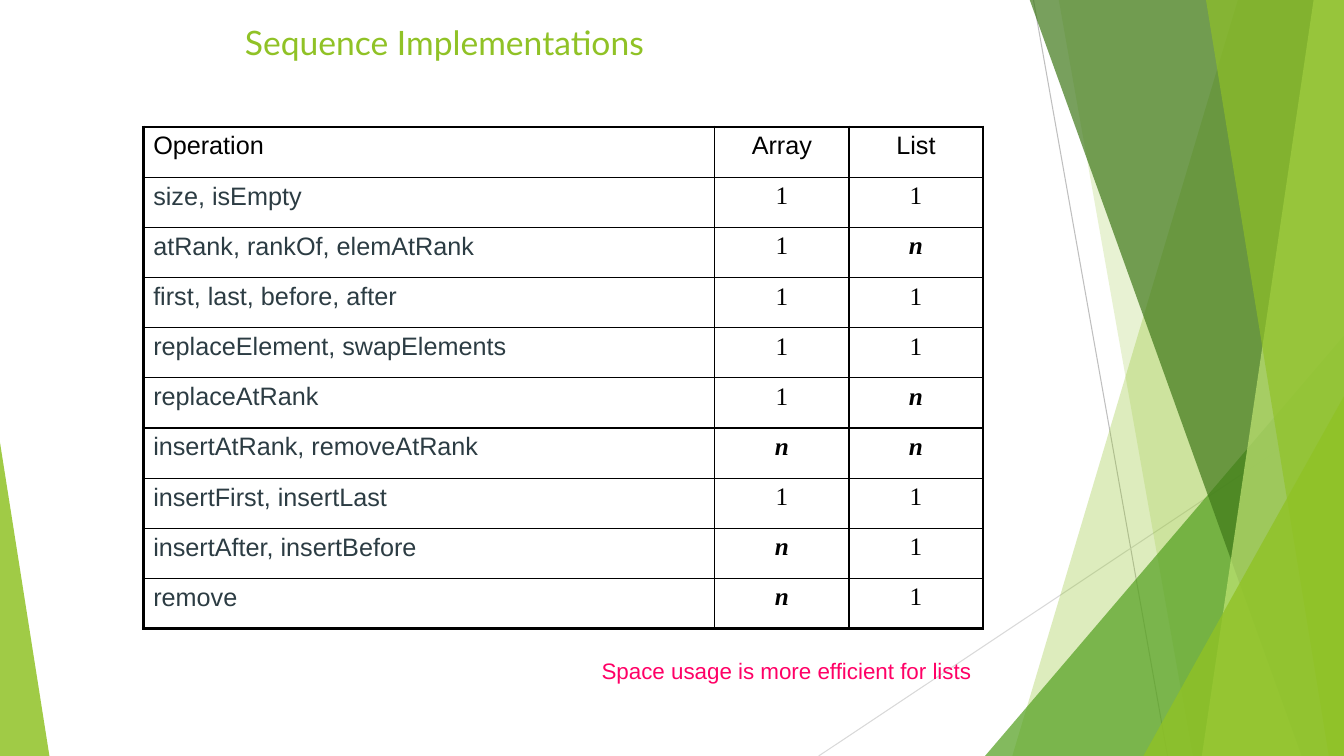
import pptx
import pptx.dml.color
import pptx.enum.shapes
import pptx.enum.text
import pptx.oxml.ns
import pptx.util
from lxml import etree

Inches = pptx.util.Inches
Pt = pptx.util.Pt
qn = pptx.oxml.ns.qn
ALIGN = pptx.enum.text.PP_ALIGN
ANCHOR = pptx.enum.text.MSO_ANCHOR

COLORS = {
    "green": "90C226",
    "leaf": "54A021",
    "forest": "3F7819",
    "lime": "C0E474",
    "gray": "BFBFBF",
    "silver": "D9D9D9",
    "slate": "2C3C43",
    "black": "000000",
    "pink": "FF0066",
}

RAYS = [
    ((10.25, 0), (11.58, 7.5), "gray"),
    ((13.33, 4.03), (8.12, 7.5), "silver"),
]
TOP, BOTTOM, RIGHT = -0.01, 7.5, 13.33

OPERATIONS = [
    ("Operation", "Array", "List"),
    ("size, isEmpty", "1", "1"),
    ("atRank, rankOf, elemAtRank", "1", "n"),
    ("first, last, before, after", "1", "1"),
    ("replaceElement, swapElements", "1", "1"),
    ("replaceAtRank", "1", "n"),
    ("insertAtRank, removeAtRank", "n", "n"),
    ("insertFirst, insertLast", "1", "1"),
    ("insertAfter, insertBefore", "n", "1"),
    ("remove", "n", "1"),
]


class SlideBuilder:
    def __init__(self, deck):
        self.page = deck.slides.add_slide(deck.slide_layouts[5])
        self.shapes = self.page.shapes

    def color(self, name):
        return pptx.dml.color.RGBColor.from_string(COLORS[name])

    def style(self, para, size, font, color, align=ALIGN.LEFT, emphasis=False):
        para.alignment = align
        para.font.size = Pt(size)
        para.font.name = font
        para.font.color.rgb = self.color(color)
        para.font.bold = para.font.italic = emphasis

    def ray(self, start, end, color):
        points = [Inches(value) for value in start + end]
        line = self.shapes.add_connector(pptx.enum.shapes.MSO_CONNECTOR.STRAIGHT, *points)
        line.line.color.rgb = self.color(color)
        line.line.width = Pt(0.75)
        etree.SubElement(line._element.spPr, qn("a:effectLst"))

    def paint(self, shape, color, opacity):
        shape.shadow.inherit = False
        shape.fill.solid()
        shape.fill.fore_color.rgb = self.color(color)
        shape.line.fill.background()
        fill = shape._element.spPr.find(qn("a:solidFill"))
        etree.SubElement(fill[0], qn("a:alpha"), val=str(opacity * 1000))

    def band(self, top_left, bottom_left, color, opacity):
        corners = [(top_left, TOP), (RIGHT, TOP), (RIGHT, BOTTOM), (bottom_left, BOTTOM)]
        points = [(Inches(x), Inches(y)) for x, y in corners]
        builder = self.shapes.build_freeform(*points[0])
        builder.add_line_segments(points[1:], close=True)
        self.paint(builder.convert_to_shape(), color, opacity)

    def triangle(self, left, top, width, apex, color, opacity):
        shape = self.shapes.add_shape(
            pptx.enum.shapes.MSO_SHAPE.ISOSCELES_TRIANGLE,
            Inches(left), Inches(top), Inches(width), Inches(BOTTOM - top))
        shape.adjustments[0] = apex
        self.paint(shape, color, opacity)

    def title(self, text, left, top, width, height):
        box = self.shapes.title
        self.shapes._spTree.append(box._element)
        box.left, box.top = Inches(left), Inches(top)
        box.width, box.height = Inches(width), Inches(height)
        frame = box.text_frame
        frame.text = text
        frame.word_wrap = True
        frame.auto_size = pptx.enum.text.MSO_AUTO_SIZE.NONE
        frame.vertical_anchor = ANCHOR.TOP
        self.style(frame.paragraphs[0], 24, "Lato", "green")

    def borders(self, cell, widths):
        properties = cell._tc.get_or_add_tcPr()
        for side, width in widths.items():
            line = etree.SubElement(properties, qn(f"a:ln{side}"), w=str(Pt(width)))
            fill = etree.SubElement(line, qn("a:solidFill"))
            etree.SubElement(fill, qn("a:srgbClr"), val=COLORS["black"])

    def table(self, rows, left, top, widths, row_height):
        last_row, last_column = len(rows) - 1, len(widths) - 1
        table = self.shapes.add_table(
            len(rows), len(widths), Inches(left), Inches(top),
            Inches(sum(widths)), Inches(row_height * len(rows))).table
        table.first_row = table.horz_banding = False
        for column, width in zip(table.columns, widths):
            column.width = Inches(width)
        for r, row in enumerate(rows):
            for c, text in enumerate(row):
                cell = table.cell(r, c)
                cell.text = text
                cell.vertical_anchor = ANCHOR.TOP
                edges = {"L": c == 0, "R": c == last_column, "T": r == 0, "B": r == last_row}
                self.borders(cell, {side: 2.25 if outer else 1 for side, outer in edges.items()})
                cell.fill.background()
                self.style(
                    cell.text_frame.paragraphs[0], 18,
                    "Times New Roman" if r and c else "Arial",
                    "slate" if r and not c else "black",
                    ALIGN.CENTER if c else ALIGN.LEFT,
                    text == "n")

    def caption(self, text, left, top, width, height):
        box = self.shapes.add_textbox(Inches(left), Inches(top), Inches(width), Inches(height))
        frame = box.text_frame
        frame.text = text
        frame.word_wrap = True
        frame.auto_size = pptx.enum.text.MSO_AUTO_SIZE.SHAPE_TO_FIT_TEXT
        self.style(frame.paragraphs[0], 16, "Arial", "pink", ALIGN.CENTER)


def main():
    deck = pptx.Presentation()
    deck.slide_width, deck.slide_height = Inches(13.33), Inches(7.5)
    slide = SlideBuilder(deck)
    for start, end, color in RAYS:
        slide.ray(start, end, color)
    slide.band(12.28, 10.04, "green", 30)
    slide.band(10.5, 11.83, "green", 20)
    slide.triangle(9.77, 3.33, 3.56, 1, "leaf", 72)
    slide.band(10.21, 12.91, "forest", 70)
    slide.band(13.03, 11.92, "lime", 70)
    slide.band(11.96, 13.18, "green", 65)
    slide.triangle(11.34, 3.93, 1.99, 1, "green", 80)
    slide.triangle(0, 4.39, 0.49, 0, "green", 85)
    slide.title("Sequence Implementations", 2.33, 0.17, 8.83, 1.08)
    slide.table(OPERATIONS, 1.42, 1.26, [5.67, 1.33, 1.33], 0.498)
    slide.caption("Space usage is more efficient for lists", 5.84, 6.47, 3.92, 0.37)
    deck.save("out.pptx")


if __name__ == "__main__":
    main()
